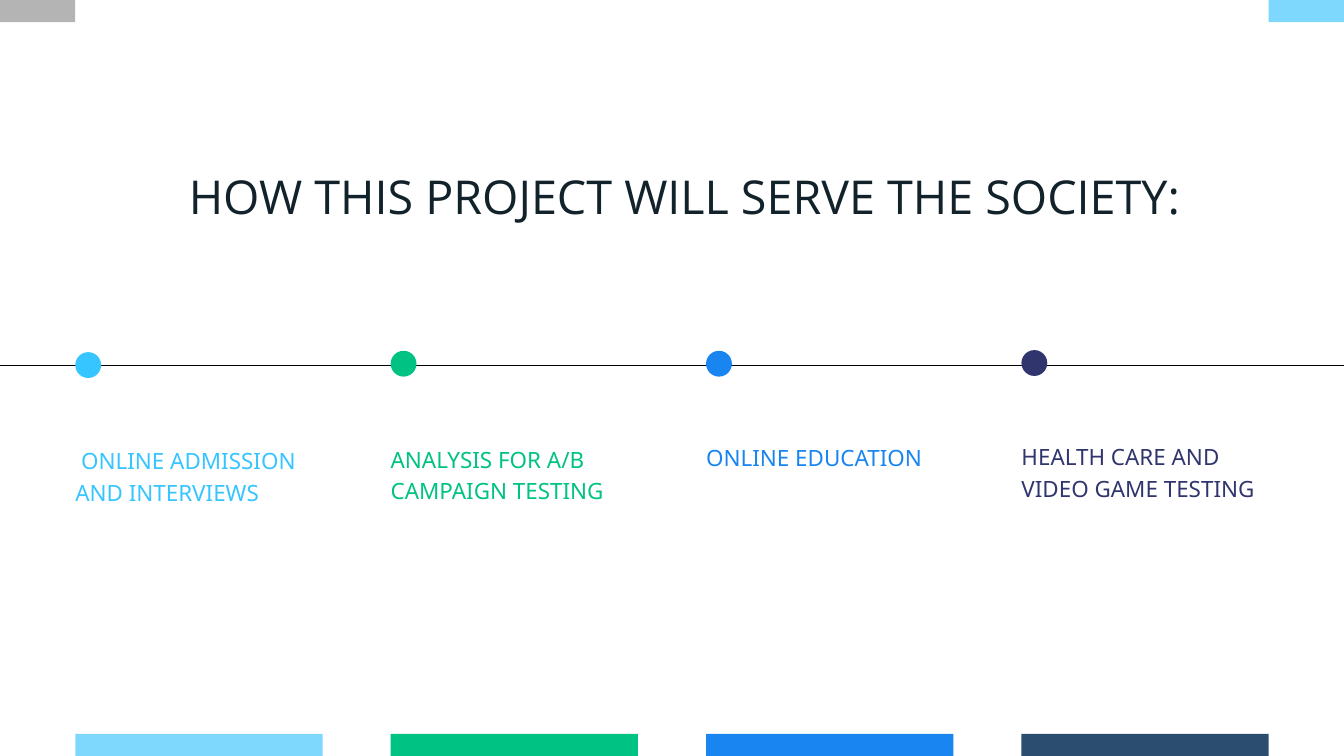
from pptx import Presentation
from pptx.dml.color import RGBColor
from pptx.enum.shapes import MSO_CONNECTOR, MSO_SHAPE
from pptx.enum.text import MSO_ANCHOR, PP_ALIGN
from pptx.oxml.ns import qn
from pptx.util import Inches, Pt
from lxml import etree

RECT, OVAL = MSO_SHAPE.RECTANGLE, MSO_SHAPE.OVAL
LINE = MSO_CONNECTOR.STRAIGHT
TOP = MSO_ANCHOR.TOP
LEFT, CENTER = PP_ALIGN.LEFT, PP_ALIGN.CENTER

WIDE, HIGH = 20, 11.25
EDGE, BAR, BAND = 1.12, 3.68, 0.33
STEP = (WIDE - 2 * EDGE - BAR) / 3
DOT = 0.385
AXIS = 5.43

# caption, caption top, dot top, text and dot colour, bar colour
STAGES = [
    (" ONLINE ADMISSION AND INTERVIEWS", 6.59, 5.24, "36C5FF", "7ED8FD"),
    ("ANALYSIS FOR A/B CAMPAIGN TESTING", 6.57, 5.22, "00C282", "00C282"),
    ("ONLINE EDUCATION", 6.54, 5.22, "1885F1", "1885F1"),
    ("HEALTH CARE AND VIDEO GAME TESTING", 6.53, 5.21, "31356E", "2A4D70"),
]


def rgb(code):
    return RGBColor.from_string(code)


def write(frame, text, font="Noto Sans", size=24, color="000000",
          lead=33.6, align=LEFT):
    """Put one formatted paragraph in a frame without margins."""
    frame.word_wrap = True
    frame.vertical_anchor = TOP
    frame.margin_left = frame.margin_right = 0
    frame.margin_top = frame.margin_bottom = 0
    para = frame.paragraphs[0]
    para.alignment = align
    para.line_spacing = Pt(lead)
    para.space_before = Pt(0)
    run = para.add_run()
    run.text = text
    run.font.name = font
    run.font.size = Pt(size)
    run.font.color.rgb = rgb(color)


class Page:
    def __init__(self, slide):
        self.slide = slide
        self.shapes = slide.shapes

    def title(self, text, x, y, w, h, **style):
        box = self.shapes.title
        box.left, box.top = Inches(x), Inches(y)
        box.width, box.height = Inches(w), Inches(h)
        write(box.text_frame, text, **style)

    def label(self, text, x, y, w, h, **style):
        box = self.shapes.add_textbox(Inches(x), Inches(y), Inches(w), Inches(h))
        write(box.text_frame, text, **style)

    def shape(self, kind, x, y, w, h, color):
        item = self.shapes.add_shape(kind, Inches(x), Inches(y), Inches(w), Inches(h))
        item.shadow.inherit = False
        item.fill.solid()
        item.fill.fore_color.rgb = rgb(color)
        item.line.fill.background()

    def line(self, x1, y1, x2, y2, color="000000", width=0.75):
        item = self.shapes.add_connector(
            LINE, Inches(x1), Inches(y1), Inches(x2), Inches(y2))
        item.line.color.rgb = rgb(color)
        item.line.width = Pt(width)
        etree.SubElement(item._element.spPr, qn("a:effectLst"))


def main():
    deck = Presentation()
    deck.slide_width, deck.slide_height = Inches(WIDE), Inches(HIGH)
    page = Page(deck.slides.add_slide(deck.slide_layouts[5]))

    page.title("HOW THIS PROJECT WILL SERVE THE SOCIETY:", 1.32, 2.52, 17.75, 0.82,
               font="Open Sans", size=50, color="12222B", lead=58, align=CENTER)
    page.line(0, AXIS, WIDE, AXIS)

    for i, (text, text_y, dot_y, color, bar) in enumerate(STAGES):
        x = EDGE + i * STEP
        page.shape(RECT, x, HIGH - BAND, BAR, BAND, bar)
        page.label(text, x, text_y, BAR, 0.95, color=color)
        page.shape(OVAL, x, dot_y, DOT, DOT, color)

    page.shape(RECT, WIDE - EDGE, 0, EDGE, BAND, "7ED8FD")
    page.shape(RECT, 0, 0, EDGE, BAND, "B4B4B4")

    deck.save("out.pptx")


if __name__ == "__main__":
    main()
